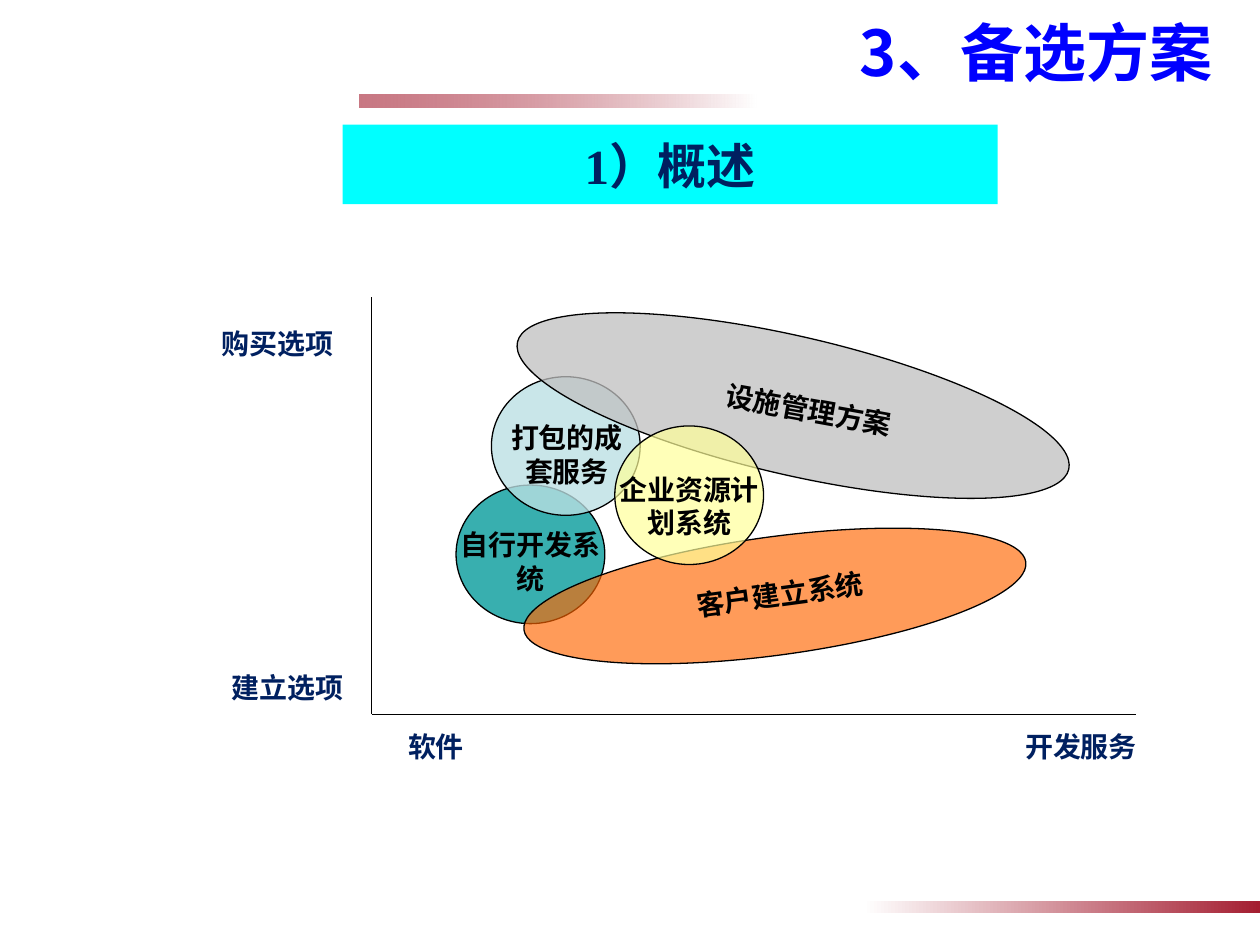
from pptx import Presentation
from pptx.dml.color import RGBColor
from pptx.enum.shapes import MSO_CONNECTOR, MSO_SHAPE
from pptx.enum.text import MSO_ANCHOR, MSO_AUTO_SIZE, PP_ALIGN
from pptx.oxml.ns import qn
from pptx.util import Pt
from lxml import etree

BLACK = RGBColor(0x00, 0x00, 0x00)
WHITE = RGBColor(0xFF, 0xFF, 0xFF)
NAVY = RGBColor(0x00, 0x20, 0x60)
BLUE = RGBColor(0x00, 0x00, 0xFF)
CYAN = RGBColor(0x00, 0xFF, 0xFF)
CRIMSON = RGBColor(0xA4, 0x1E, 0x31)
TEAL = RGBColor(0x00, 0x99, 0x99)
PALE_TEAL = RGBColor(0xBB, 0xE0, 0xE3)
ORANGE = RGBColor(0xFF, 0x66, 0x00)
GREY = RGBColor(0xC0, 0xC0, 0xC0)
YELLOW = RGBColor(0xFF, 0xFF, 0x99)

SANS = "Noto Sans CJK SC"
SERIF = "Times New Roman"
CIRCLE = (85, 79.2)
LABEL = (85, 26.6)

# centre, size, turn, fill, opacity; then label text, size, offset from centre, turn
OPTIONS = [
    ((303.1, 316.8), CIRCLE, 0, TEAL, 78, "自行开发系统", (102.2, 46), (0, 4.3), 0),
    ((323.3, 254.9), CIRCLE, 0, PALE_TEAL, 78, "打包的成套服务", (90.7, 46), (0.7, 5), 0),
    ((442.8, 340.6), (289.4, 67.7), -7.7, ORANGE, 65,
     "客户建立系统", (129.6, 26.6), (2.9, -1), -7.7),
    ((453.2, 231.8), (323.3, 79.2), 13, GREY, 75,
     "设施管理方案", (136.8, 26.6), (9, 2.5), 10.2),
    ((393.8, 283), CIRCLE, 0, YELLOW, 69, "企业资源计划系统", (102.2, 46), (0, 6.4), 0),
]


def write(shape, text, *, size=16, color=BLACK, font=SANS,
          align=PP_ALIGN.CENTER, anchor=MSO_ANCHOR.TOP):
    frame = shape.text_frame
    frame.word_wrap = True
    frame.auto_size = MSO_AUTO_SIZE.NONE
    frame.vertical_anchor = anchor
    para = frame.paragraphs[0]
    para.alignment = align
    span = para.add_run()
    span.text = text
    span.font.size = Pt(size)
    span.font.bold = True
    span.font.name = font
    span.font.color.rgb = color
    east_asian = etree.SubElement(span.font._element, qn("a:ea"))
    east_asian.set("typeface", SANS)


def set_opacity(color_parent, percent):
    color = next(color_parent.iter(qn("a:srgbClr")))
    etree.SubElement(color, qn("a:alpha")).set("val", str(percent * 1000))


def add_plain_shape(page, kind, left, top, width, height):
    shape = page.shapes.add_shape(kind, Pt(left), Pt(top), Pt(width), Pt(height))
    shape.shadow.inherit = False
    shape.line.fill.background()
    return shape


def add_fading_bar(page, left, top, width, height, turn=0, opacity=100):
    bar = add_plain_shape(page, MSO_SHAPE.RECTANGLE, left, top, width, height)
    bar.rotation = turn
    bar.fill.gradient()
    bar.fill.gradient_angle = 0
    pale, strong = bar.fill.gradient_stops
    pale.position, strong.position = 0, 1
    pale.color.rgb, strong.color.rgb = WHITE, CRIMSON
    if opacity < 100:
        stops = list(bar._element.spPr.iter(qn("a:gs")))
        set_opacity(stops[-1], opacity)


def add_heading(page, left, top, width, height):
    title = page.shapes.title
    title.left, title.top = Pt(left), Pt(top)
    title.width, title.height = Pt(width), Pt(height)
    write(title, "3、备选方案", size=36, color=BLUE,
          align=PP_ALIGN.RIGHT, anchor=MSO_ANCHOR.MIDDLE)


def add_subheading(page, left, top, width, height):
    band = add_plain_shape(page, MSO_SHAPE.RECTANGLE, left, top, width, height)
    band.fill.solid()
    band.fill.fore_color.rgb = CYAN
    write(band, "1）概述", size=28, color=NAVY, font=SERIF, anchor=MSO_ANCHOR.MIDDLE)


def add_label(page, text, left, top, width, height, turn=0, color=BLACK):
    box = page.shapes.add_textbox(Pt(left), Pt(top), Pt(width), Pt(height))
    box.rotation = turn
    write(box, text, color=color)


def add_axes(page, left, top, width, height):
    bottom, right = top + height, left + width
    for start, end in [((left, top), (left, bottom)), ((left, bottom), (right, bottom))]:
        axis = page.shapes.add_connector(
            MSO_CONNECTOR.STRAIGHT, *(Pt(value) for value in start + end))
        axis.line.color.rgb = BLACK
        axis.line.width = Pt(0.75)
        etree.SubElement(axis._element.spPr, qn("a:effectLst"))
    for text, x, y in [
        ("购买选项", left - 96.5, top + 13),
        ("建立选项", left - 90.7, bottom - 28.8),
        ("软件", left - 5.8, bottom + 5),
        ("开发服务", right - 74.2, bottom + 5),
    ]:
        add_label(page, text, x, y, *LABEL, color=NAVY)


def add_option(page, centre, size, turn, color, opacity,
               text, label_size, offset, label_turn):
    (x, y), (width, height) = centre, size
    oval = add_plain_shape(page, MSO_SHAPE.OVAL, x - width / 2, y - height / 2, width, height)
    oval.rotation = turn
    oval.fill.solid()
    oval.fill.fore_color.rgb = color
    set_opacity(oval._element.spPr, opacity)
    oval.line.color.rgb = BLACK
    oval.line.width = Pt(0.75)
    label_width, label_height = label_size
    add_label(page, text, x + offset[0] - label_width / 2, y + offset[1] - label_height / 2,
              label_width, label_height, label_turn)


def main():
    deck = Presentation()
    deck.slide_width, deck.slide_height = Pt(720), Pt(540)
    page = deck.slides.add_slide(deck.slide_layouts[5])
    add_fading_bar(page, 205.2, 54, 226.8, 7.2, turn=180, opacity=60)
    add_fading_bar(page, 493.2, 514.8, 226.8, 7.2)
    add_axes(page, 212.4, 169.9, 437, 238.3)
    for option in OPTIONS:
        add_option(page, *option)
    add_heading(page, 87.8, 3.6, 612, 51.8)
    add_subheading(page, 195.8, 71.3, 374.4, 45.4)
    deck.save("out.pptx")


if __name__ == "__main__":
    main()
